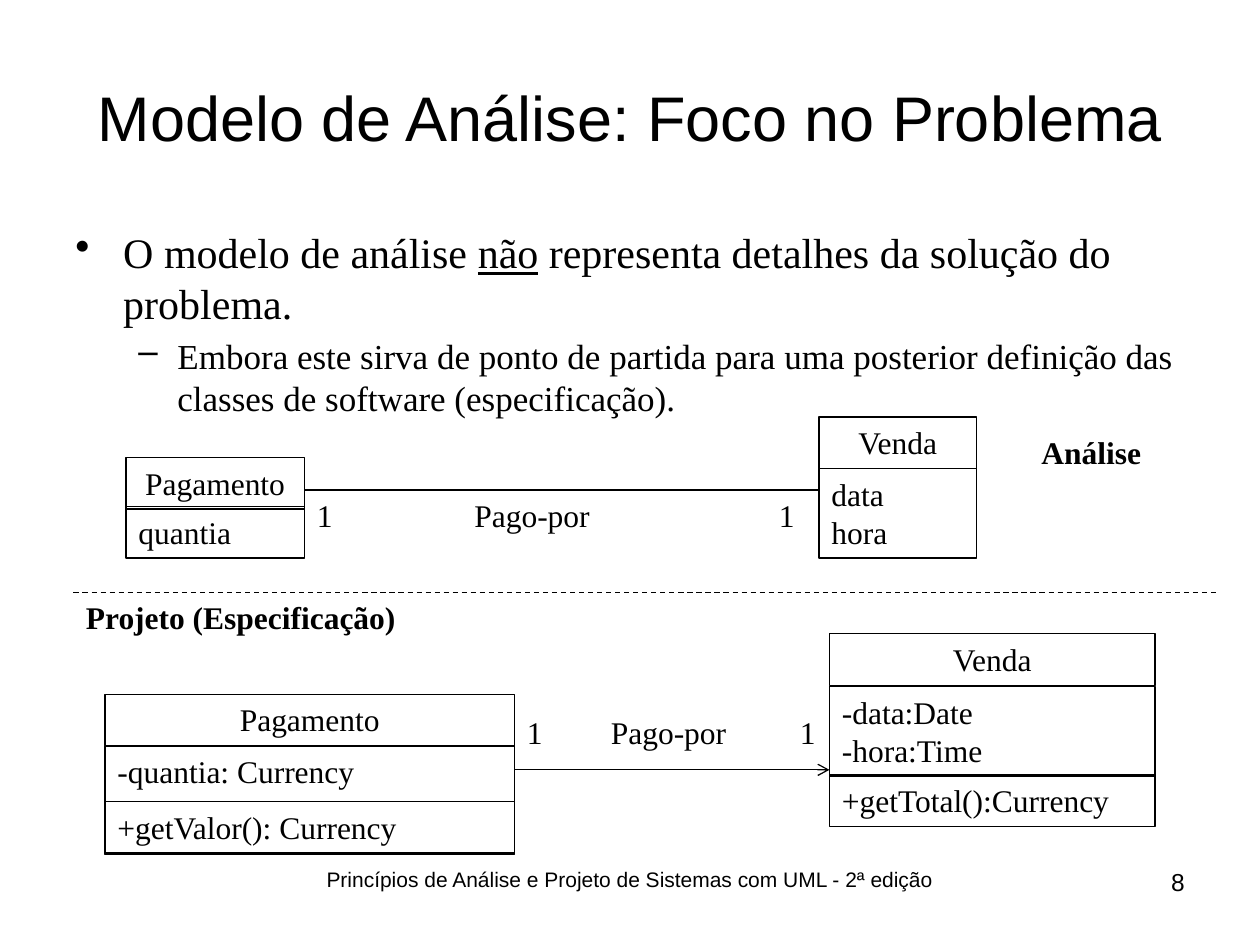
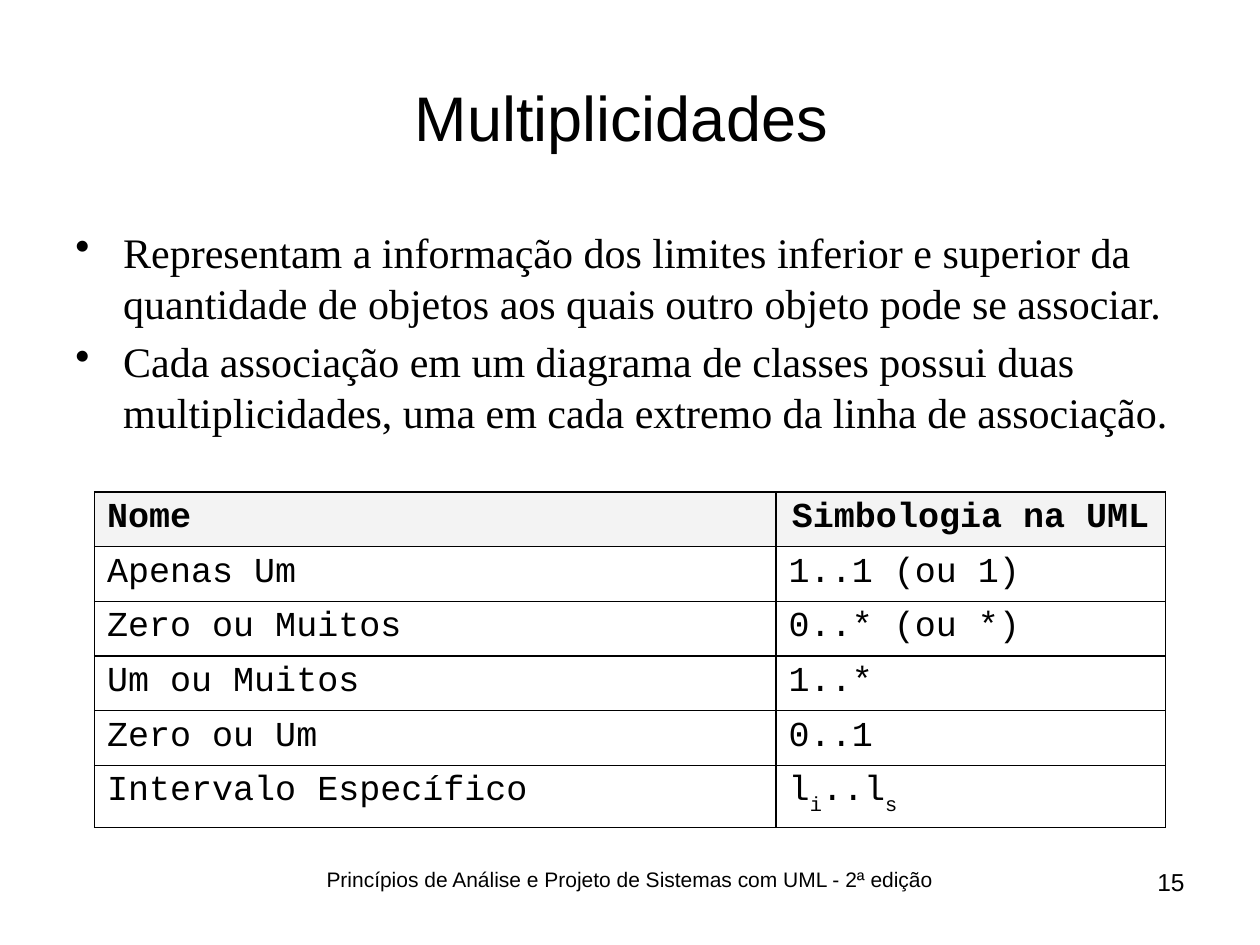
from dataclasses import dataclass
from typing import NamedTuple

from lxml.etree import SubElement
from pptx import Presentation
from pptx.dml.color import RGBColor
from pptx.enum.dml import MSO_LINE
from pptx.enum.shapes import MSO_CONNECTOR, MSO_SHAPE
from pptx.enum.text import MSO_ANCHOR, PP_ALIGN
from pptx.oxml.ns import qn
from pptx.util import Inches, Pt

HUES = {"ink": "000000", "head": "F3F3F3"}
SANS, SERIF, MONO = "Arial", "Times New Roman", "Courier New"
LEFT, MID, RIGHT = PP_ALIGN.LEFT, PP_ALIGN.CENTER, PP_ALIGN.RIGHT
WIDE, HIGH = Inches(10), Inches(7.5)
COL, ROW = WIDE / 120, HIGH / 75
FOOT = "Princípios de Análise e Projeto de Sistemas com UML - 2ª edição"


class Area(NamedTuple):
    """Place in grid columns and rows."""
    col: float
    row: float
    wide: float
    high: float

    def emu(self) -> tuple:
        return (round(self.col * COL), round(self.row * ROW),
                round(self.wide * COL), round(self.high * ROW))


class Span(NamedTuple):
    text: str
    under: bool = False
    sub: bool = False


class Point(NamedTuple):
    """One bullet of the body."""
    spans: list
    level: int = 0


class Level(NamedTuple):
    mark: str
    size: int
    left: float
    hang: float


LEVELS = [Level("•", 24, 0.38, 0.38), Level("–", 20, 0.81, 0.31)]


@dataclass
class Band:
    """One compartment of a class box."""
    row: float
    high: float
    text: str


@dataclass
class Class:
    col: int
    wide: int
    bands: list


@dataclass
class Label:
    col: int
    row: float
    wide: int
    text: str
    bold: bool = False


@dataclass
class Line:
    start: int
    end: int
    row: float
    arrow: bool = False
    dash: bool = False


CLASSES = [
    Class(78, 15, [Band(33.1, 4.1, "Venda"), Band(37.2, 7.1, "data\vhora")]),
    Class(79, 31, [Band(50.3, 4.1, "Venda"),
                   Band(54.5, 7.1, "-data:Date\v-hora:Time"),
                   Band(61.5, 4.1, "+getTotal():Currency")]),
    Class(12, 17, [Band(36.3, 4.1, "Pagamento"), Band(40.2, 4.1, "quantia")]),
    Class(10, 39, [Band(55.1, 4.1, "Pagamento"),
                   Band(59.2, 8.6, "-quantia: Currency"),
                   Band(63.6, 4.1, "+getValor(): Currency")]),
]
LINES = [Line(29, 78, 38.9), Line(49, 79, 61.1, arrow=True),
         Line(7, 116, 47, dash=True)]
LABELS = [
    Label(29, 38.9, 4, "1"), Label(73, 38.9, 4, "1"),
    Label(44, 38.9, 17, "Pago-por"),
    Label(49, 56.1, 4, "1"), Label(75, 56.1, 4, "1"),
    Label(57, 56.1, 17, "Pago-por"),
    Label(7, 47, 48, "Projeto (Especificação)", True),
    Label(98, 33.9, 18, "Análise", True),
]
FOCUS = [
    Point([Span("O modelo de análise "), Span("não", under=True),
           Span(" representa detalhes da solução do problema.")]),
    Point([Span("Embora este sirva de ponto de partida para uma posterior "
                "definição das classes de software (especificação).")], 1),
]
LIMITS = [
    Point([Span("Representam a informação dos limites inferior e superior da "
                "quantidade de objetos aos quais outro objeto pode se "
                "associar.")]),
    Point([Span("Cada associação em um diagrama de classes possui duas "
                "multiplicidades, uma em cada extremo da linha de "
                "associação.")]),
]
RANGES = [
    ("Nome", [Span("Simbologia na UML")]),
    ("Apenas Um", [Span("1..1 (ou 1)")]),
    ("Zero ou Muitos", [Span("0..* (ou *)")]),
    ("Um ou Muitos", [Span("1..*")]),
    ("Zero ou Um", [Span("0..1")]),
    ("Intervalo Específico", [Span("l"), Span("i", sub=True), Span("..l"),
                              Span("s", sub=True)]),
]


def ink(name: str) -> RGBColor:
    return RGBColor.from_string(HUES[name])


def style(para, face: str, size: float, align=LEFT, bold: bool = False) -> None:
    para.alignment = align
    font = para.font
    font.name, font.size, font.bold = face, Pt(size), bold
    font.color.rgb = ink("ink")


def indent(para, left: float, hang: float) -> None:
    props = para._p.get_or_add_pPr()
    props.set("marL", str(Inches(left)))
    props.set("indent", str(-Inches(hang)))


def fill_spans(para, spans: list) -> None:
    for span in spans:
        run = para.add_run()
        run.text = span.text
        if span.under:
            run.font.underline = True
        if span.sub:
            run._r.get_or_add_rPr().set("baseline", "-30000")


def add_text(slide, area: Area, text: str, face: str, size: float,
             align=LEFT, bold: bool = False, anchor=MSO_ANCHOR.TOP) -> None:
    frame = slide.shapes.add_textbox(*area.emu()).text_frame
    frame.word_wrap = True
    frame.vertical_anchor = anchor
    para = frame.paragraphs[0]
    para.text = text
    style(para, face, size, align, bold)


def add_body(slide, points: list) -> None:
    frame = slide.shapes.add_textbox(*Area(6, 17.5, 108, 49.5).emu()).text_frame
    frame.word_wrap = True
    for i, point in enumerate(points):
        para = frame.add_paragraph() if i else frame.paragraphs[0]
        level = LEVELS[point.level]
        para.level = point.level
        fill_spans(para, point.spans)
        if i:
            para.space_before = Pt(level.size * 0.2)
        indent(para, level.left, level.hang)
        mark = SubElement(para._p.get_or_add_pPr(), qn("a:buChar"))
        mark.set("char", level.mark)
        style(para, SERIF, level.size)


def add_class(slide, item: Class) -> None:
    for i, band in enumerate(item.bands):
        area = Area(item.col, band.row, item.wide, band.high)
        box = slide.shapes.add_shape(MSO_SHAPE.RECTANGLE, *area.emu())
        box.shadow.inherit = False
        box.fill.background()
        box.line.color.rgb = ink("ink")
        box.line.width = Pt(0.75)
        frame = box.text_frame
        frame.word_wrap = True
        frame.vertical_anchor = MSO_ANCHOR.TOP
        para = frame.paragraphs[0]
        para.text = band.text
        style(para, SERIF, 18, LEFT if i else MID)


def add_line(slide, item: Line) -> None:
    left, top, wide, _ = Area(item.start, item.row,
                              item.end - item.start, 0).emu()
    link = slide.shapes.add_connector(MSO_CONNECTOR.STRAIGHT,
                                      left, top, left + wide, top)
    link.line.color.rgb = ink("ink")
    link.line.width = Pt(0.75)
    if item.dash:
        link.line.dash_style = MSO_LINE.DASH
    if item.arrow:
        SubElement(link.line._get_or_add_ln(), qn("a:tailEnd"), type="arrow")
    SubElement(link._element.spPr, qn("a:effectLst"))


def edge_cell(cell) -> None:
    """Draw the four borders of a cell."""
    props = cell._tc.get_or_add_tcPr()
    for side in "LRTB":
        edge = SubElement(props, qn(f"a:ln{side}"), w=str(Pt(1)))
        solid = SubElement(edge, qn("a:solidFill"))
        SubElement(solid, qn("a:srgbClr"), val=HUES["ink"])


def add_ranges(slide) -> None:
    area = Area(9, 39.05, 102, 26)
    table = slide.shapes.add_table(len(RANGES), 2, *area.emu()).table
    table.first_row = table.horz_banding = False
    for col, wide in zip(table.columns, (5.41, 3.09)):
        col.width = Inches(wide)
    for i, (name, symbol) in enumerate(RANGES):
        table.rows[i].height = Inches(0.43)
        for j, spans in enumerate(([Span(name)], symbol)):
            cell = table.cell(i, j)
            edge_cell(cell)
            if i:
                cell.fill.background()
            else:
                cell.fill.solid()
                cell.fill.fore_color.rgb = ink("head")
            para = cell.text_frame.paragraphs[0]
            fill_spans(para, spans)
            indent(para, 0.38, 0.38)
            align = PP_ALIGN.JUSTIFY if j == 0 else LEFT if i else MID
            style(para, MONO, 20, align, bold=i == 0)


def add_slide(deck, title: str, page: int, points: list):
    """Start a slide with its footer, title and bullets."""
    slide = deck.slides.add_slide(deck.slide_layouts[6])
    add_text(slide, Area(23, 68.3, 74, 5.2), FOOT, SANS, 12, MID)
    add_text(slide, Area(98, 68.3, 16, 5.2), str(page), SANS, 14, RIGHT)
    add_text(slide, Area(6, 3, 108, 12.5), title, SANS, 36, MID,
             anchor=MSO_ANCHOR.MIDDLE)
    add_body(slide, points)
    return slide


def main() -> None:
    deck = Presentation()
    deck.slide_width, deck.slide_height = WIDE, HIGH

    slide = add_slide(deck, "Modelo de Análise: Foco no Problema", 8, FOCUS)
    for item in CLASSES:
        add_class(slide, item)
    for item in LINES:
        add_line(slide, item)
    for item in LABELS:
        area = Area(item.col, item.row, item.wide, 4)
        add_text(slide, area, item.text, SERIF, 18, bold=item.bold)

    slide = add_slide(deck, "Multiplicidades ", 15, LIMITS)
    add_ranges(slide)
    deck.save("out.pptx")


if __name__ == "__main__":
    main()
